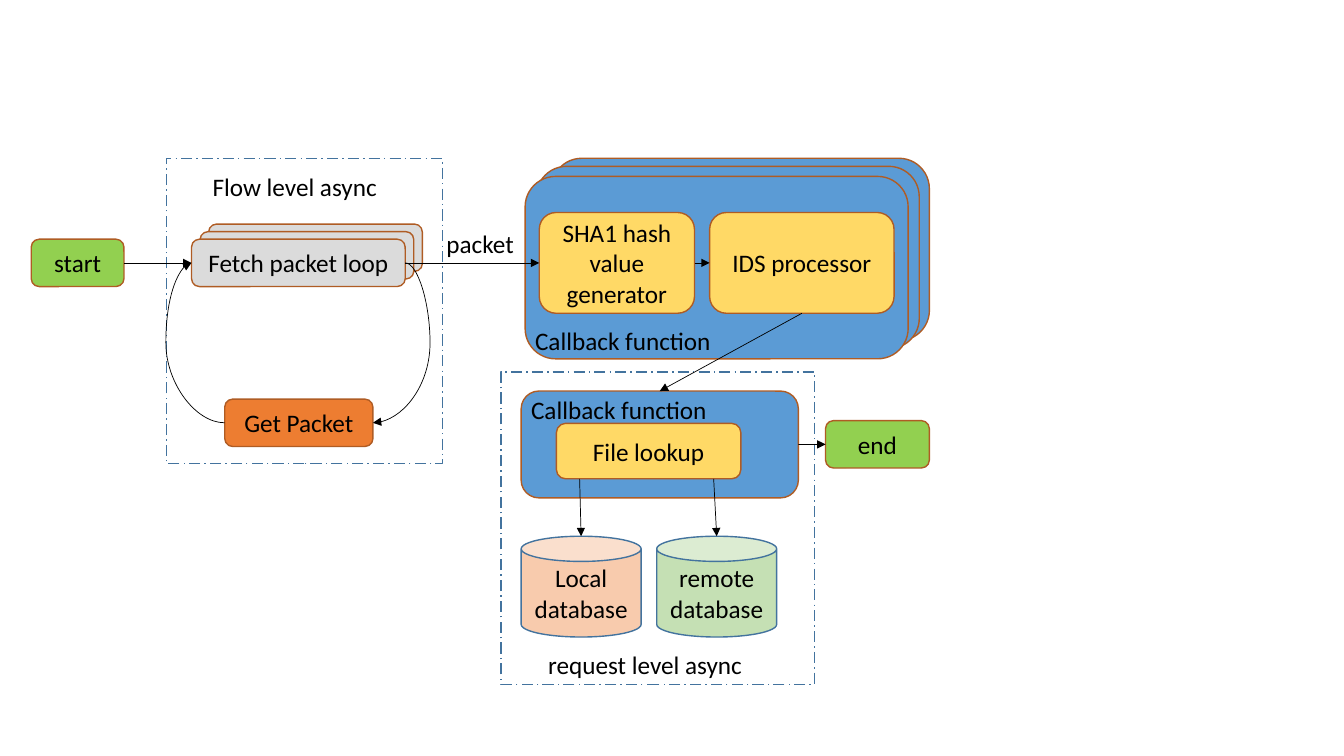
from dataclasses import dataclass

from lxml import etree
from pptx import Presentation
from pptx.dml.color import RGBColor
from pptx.enum.dml import MSO_LINE
from pptx.enum.shapes import MSO_CONNECTOR, MSO_SHAPE
from pptx.enum.text import MSO_ANCHOR, MSO_AUTO_SIZE, PP_ALIGN
from pptx.oxml.ns import qn
from pptx.util import Inches, Pt

RECT, ROUNDED, CAN = MSO_SHAPE.RECTANGLE, MSO_SHAPE.ROUNDED_RECTANGLE, MSO_SHAPE.CAN
STRAIGHT, CURVE = MSO_CONNECTOR.STRAIGHT, MSO_CONNECTOR.CURVE
TOP, LEFT, BOTTOM, RIGHT = range(4)  # connection sites of a rounded box


@dataclass(frozen=True)
class Theme:
    font: str = "Calibri"
    size: int = 18
    outline: float = 1
    arrow: float = 0.5
    ink: str = "000000"
    paper: str = "FFFFFF"
    blue_edge: str = "43739E"
    brown_edge: str = "AF5C24"
    callback: str = "5B9BD5"
    fetch: str = "DBDBDB"
    terminal: str = "92D050"
    packet: str = "ED7D31"
    step: str = "FFD966"
    local: str = "F8CBAD"
    remote: str = "C5E0B4"


THEME = Theme()
prs = Presentation()
prs.slide_width, prs.slide_height = Inches(13.333), Inches(7.5)
slide = prs.slides.add_slide(prs.slide_layouts[6])
CELL = prs.slide_height / 90  # the slide is a grid of 160 columns by 90 rows


def add_node(col, row, cols, rows, fill=None, kind=ROUNDED, text=""):
    """Add a shape on the grid, or a bare label when it has no fill."""
    box = [round(n * CELL) for n in (col, row, cols, rows)]
    if fill:
        node = slide.shapes.add_shape(kind, *box)
        node.shadow.inherit = False
        node.fill.solid()
        node.fill.fore_color.rgb = RGBColor.from_string(fill)
        edge = THEME.brown_edge if kind == ROUNDED else THEME.blue_edge
        node.line.color.rgb = RGBColor.from_string(edge)
        node.line.width = Pt(THEME.outline)
        node.text_frame.vertical_anchor = MSO_ANCHOR.MIDDLE
    else:
        node = slide.shapes.add_textbox(*box)
        node.text_frame.auto_size = MSO_AUTO_SIZE.SHAPE_TO_FIT_TEXT
    node.text_frame.word_wrap = True
    if text:
        paragraph = node.text_frame.paragraphs[0]
        paragraph.text = text
        paragraph.alignment = PP_ALIGN.CENTER if fill else PP_ALIGN.LEFT
        paragraph.font.name, paragraph.font.size = THEME.font, Pt(THEME.size)
        paragraph.font.color.rgb = RGBColor.from_string(THEME.ink)
    return node


def add_arrow(start=(0, 0), end=(0, 0), source=None, target=None, bend=None):
    """Add an arrow between grid points or (node, site) pairs; bend curves it."""
    points = [round(n * CELL) for n in (*start, *end)]
    arrow = slide.shapes.add_connector(STRAIGHT if bend is None else CURVE, *points)
    if source:
        arrow.begin_connect(*source)
    if target:
        arrow.end_connect(*target)
    arrow.line.color.rgb = RGBColor.from_string(THEME.ink)
    arrow.line.width = Pt(THEME.arrow)
    properties = arrow.element.spPr
    etree.SubElement(properties.find(qn("a:ln")), qn("a:tailEnd"), type="triangle")
    etree.SubElement(properties, qn("a:effectLst"))
    if bend is not None:
        guides = properties.find(qn("a:prstGeom")).find(qn("a:avLst"))
        etree.SubElement(guides, qn("a:gd"), name="adj1", fmla=f"val {round(bend * 100000)}")


FLOW_ROW = 31.3  # centre line of the main flow
BOX_ROWS = 5.64
STEP_ROWS = 12
LABEL = (26.16, 4.8)
flow_top = FLOW_ROW - BOX_ROWS / 2
step_top = FLOW_ROW - STEP_ROWS / 2
lookup_left = 62.04

# Async frames
for frame in ((59.64, 44.28, 37.32, 37.2), (19.8, 18.84, 32.88, 36.36)):
    add_node(*frame, THEME.paper, RECT).line.dash_style = MSO_LINE.LONG_DASH_DOT

# Stacked cards, back to front
for col, row, cols in ((65.64, 18.84, 45), (63.84, 19.8, 45.6), (62.52, 21, 45.6)):
    add_node(col, row, cols, 21.72, THEME.callback)
for depth in (2, 1, 0):
    fetch_loop = add_node(22.8 + 1.02 * depth, flow_top - 0.9 * depth, 25.44, BOX_ROWS,
                          THEME.fetch, text="" if depth else "Fetch packet loop")

# Steps
start = add_node(3.72, flow_top, 11.04, BOX_ROWS, THEME.terminal, text="start")
get_packet = add_node(26.76, 47.52, 17.64, BOX_ROWS, THEME.packet, text="Get Packet")
hashing = add_node(64.2, step_top, 18.48, STEP_ROWS, THEME.step,
                   text="SHA1 hash value generator")
ids = add_node(84.48, step_top, 21.96, STEP_ROWS, THEME.step, text="IDS processor")
lookup_callback = add_node(lookup_left, 46.56, 33, 12.72, THEME.callback)
file_lookup = add_node(66.24, 50.4, 21.96, 6.6, THEME.step, text="File lookup")
end = add_node(98.28, 50.08, 12.36, BOX_ROWS, THEME.terminal, text="end")

# Databases, each fed by the file lookup
for index, (name, color, exit_col) in enumerate((
        ("Local database", THEME.local, 69), ("remote database", THEME.remote, 84.96))):
    left, width = lookup_left + 16.14 * index, 14.28
    add_node(left, 63.84, width, 12, color, CAN, name)
    add_arrow((exit_col, 57), (left + width / 2, 63.84))

# Labels
for col, row, text in (
        (62.52, 38.16, "Callback function"), (51.96, 26.64, "packet"),
        (lookup_left, 46.32, "Callback function"), (24.12, 19.8, "Flow level async"),
        (64.08, 76.68, "request level async")):
    add_node(col, row, *LABEL, text=text)

# Flow
for source, leaving, target, entering, bend in (
        (start, RIGHT, fetch_loop, LEFT, None),
        (fetch_loop, RIGHT, get_packet, RIGHT, -0.77),
        (get_packet, LEFT, fetch_loop, LEFT, 1.77),
        (fetch_loop, RIGHT, hashing, LEFT, None),
        (hashing, RIGHT, ids, LEFT, None),
        (ids, BOTTOM, lookup_callback, TOP, None),
        (lookup_callback, RIGHT, end, LEFT, None)):
    add_arrow(source=(source, leaving), target=(target, entering), bend=bend)

prs.save("out.pptx")
